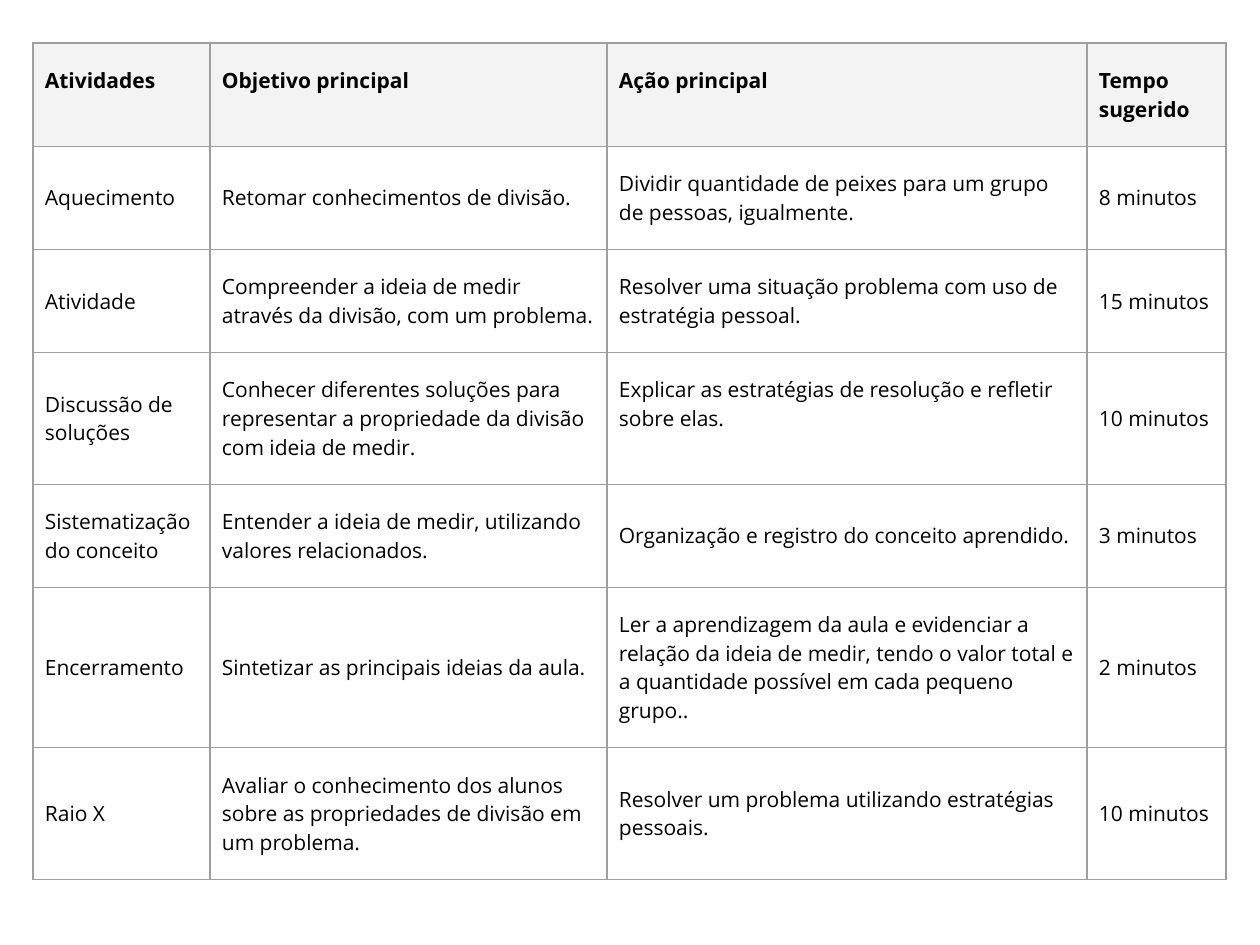
from typing import NamedTuple

from lxml.etree import SubElement
from pptx import Presentation
from pptx.dml.color import RGBColor
from pptx.enum.text import MSO_ANCHOR as Anchor
from pptx.oxml.ns import qn
from pptx.util import Pt

EMU_PER_PX = 914400 / 126
SLIDE_WIDTH, SLIDE_HEIGHT = 1260, 945
TABLE_LEFT, TABLE_TOP = 33, 43
COLUMN_WIDTHS = (177, 397, 480, 139)
MARGIN_X, MARGIN_Y = 12, 23

FONT = "Open Sans"
BLACK = RGBColor(0x00, 0x00, 0x00)
HEADER_GRAY = RGBColor(0xF3, 0xF3, 0xF3)
BORDER_GRAY = RGBColor(0x9E, 0x9E, 0x9E)


class Row(NamedTuple):
    height: int
    texts: tuple[str, str, str, str]
    action_anchor: Anchor = Anchor.MIDDLE


HEADER = Row(102, ("Atividades", "Objetivo principal", "Ação principal", "Tempo sugerido"))
ACTIVITIES = (
    Row(102, ("Aquecimento", "Retomar conhecimentos de divisão.",
              "Dividir quantidade de peixes para um grupo de pessoas, igualmente.",
              "8 minutos")),
    Row(102, ("Atividade",
              "Compreender a ideia de medir através da divisão, com um problema.",
              "Resolver uma situação problema com uso de estratégia pessoal.",
              "15 minutos")),
    Row(131, ("Discussão de soluções",
              "Conhecer diferentes soluções para representar a propriedade da divisão "
              "com ideia de medir.",
              "Explicar as estratégias de resolução e refletir sobre elas.",
              "10 minutos"), Anchor.TOP),
    Row(102, ("Sistematização do conceito",
              "Entender a ideia de medir, utilizando valores relacionados.",
              "Organização e registro do conceito aprendido.",
              "3 minutos")),
    Row(159, ("Encerramento", "Sintetizar as principais ideias da aula.",
              "Ler a aprendizagem da aula e evidenciar a relação da ideia de medir, "
              "tendo o valor total e a quantidade possível em cada pequeno grupo..",
              "2 minutos")),
    Row(130, ("Raio X",
              "Avaliar o conhecimento dos alunos sobre as propriedades de divisão "
              "em um problema.",
              "Resolver um problema utilizando estratégias pessoais.",
              "10 minutos")),
)
ACTION_COLUMN = 2


def px(length: int) -> int:
    return round(length * EMU_PER_PX)


def add_borders(cell) -> None:
    properties = cell._tc.get_or_add_tcPr()
    for position, side in enumerate(("a:lnL", "a:lnR", "a:lnT", "a:lnB")):
        line = SubElement(properties, qn(side), w=str(Pt(0.75)))
        fill = SubElement(line, qn("a:solidFill"))
        SubElement(fill, qn("a:srgbClr"), val=str(BORDER_GRAY))
        properties.insert(position, line)  # borders precede the fill


def fill_cell(cell, text: str, anchor: Anchor, is_header: bool) -> None:
    cell.margin_left = cell.margin_right = px(MARGIN_X)
    cell.margin_top = cell.margin_bottom = px(MARGIN_Y)
    cell.vertical_anchor = anchor
    if is_header:
        cell.fill.solid()
        cell.fill.fore_color.rgb = HEADER_GRAY
    else:
        cell.fill.background()
    add_borders(cell)
    cell.text_frame.text = text
    font = cell.text_frame.paragraphs[0].runs[0].font
    font.name = FONT
    font.size = Pt(12)
    font.bold = is_header
    font.color.rgb = BLACK


def add_activity_table(slide) -> None:
    rows = (HEADER, *ACTIVITIES)
    table = slide.shapes.add_table(
        len(rows), len(COLUMN_WIDTHS), px(TABLE_LEFT), px(TABLE_TOP),
        px(sum(COLUMN_WIDTHS)), px(sum(row.height for row in rows))).table
    table.horz_banding = False
    for column, width in zip(table.columns, COLUMN_WIDTHS):
        column.width = px(width)
    for row_index, row in enumerate(rows):
        table.rows[row_index].height = px(row.height)
        is_header = row is HEADER
        for column_index, text in enumerate(row.texts):
            anchor = row.action_anchor if column_index == ACTION_COLUMN else Anchor.MIDDLE
            fill_cell(table.cell(row_index, column_index), text,
                      Anchor.TOP if is_header else anchor, is_header)


def main() -> None:
    presentation = Presentation()
    presentation.slide_width = px(SLIDE_WIDTH)
    presentation.slide_height = px(SLIDE_HEIGHT)
    slide = presentation.slides.add_slide(presentation.slide_layouts[6])
    add_activity_table(slide)
    presentation.save("out.pptx")


if __name__ == "__main__":
    main()
